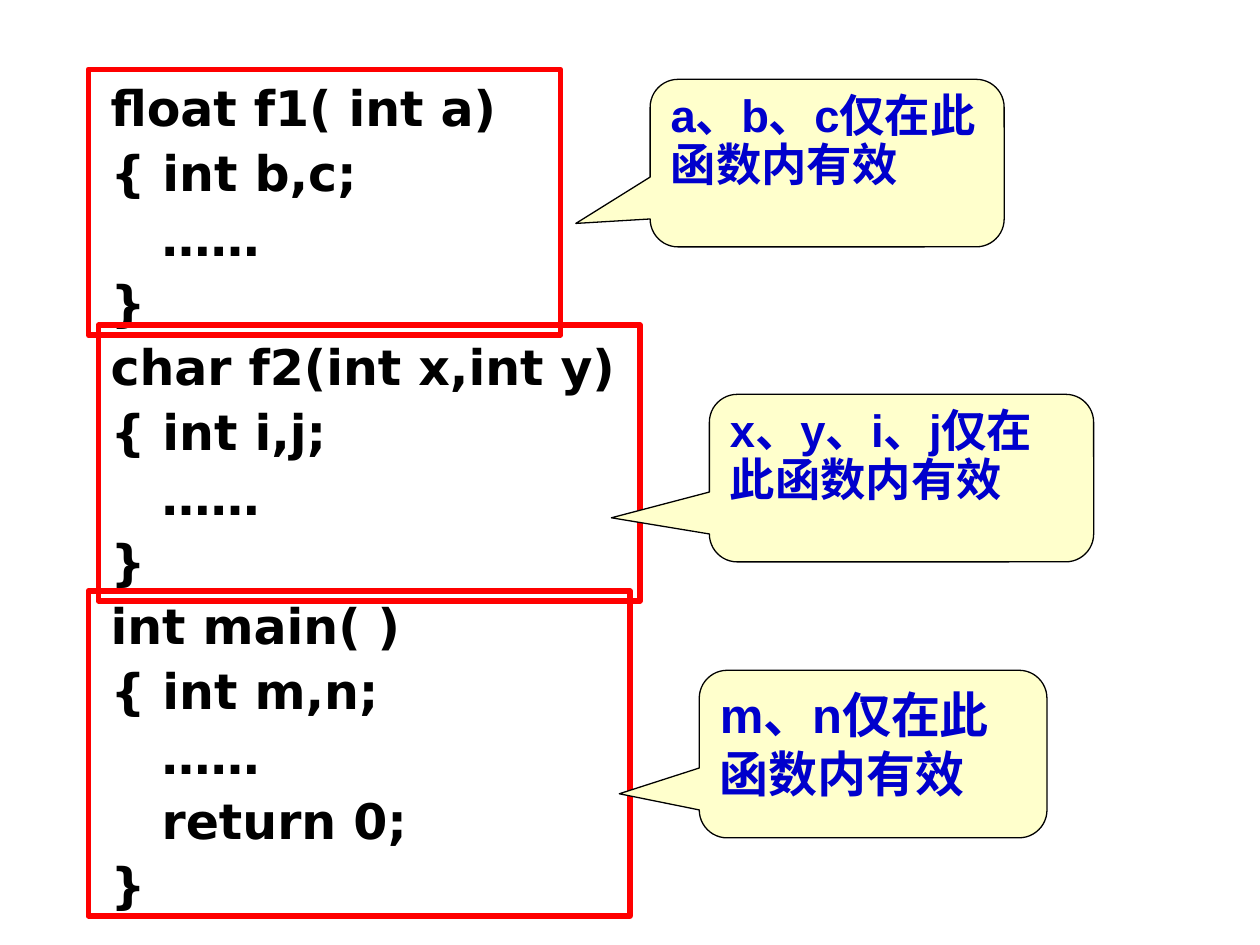
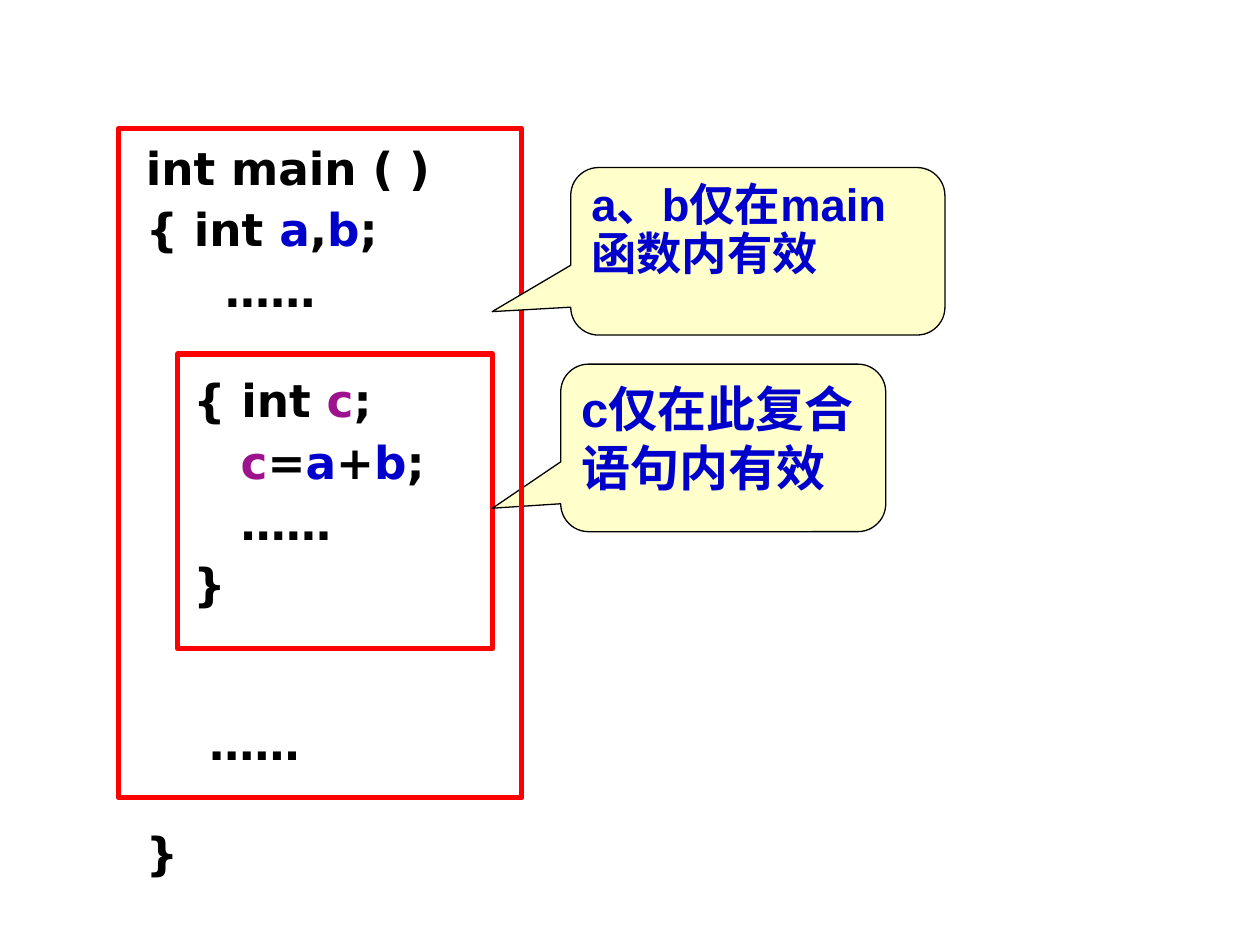
from pptx import Presentation
from pptx.dml.color import RGBColor
from pptx.enum.shapes import MSO_SHAPE
from pptx.enum.text import MSO_ANCHOR, PP_ALIGN
from pptx.util import Inches, Pt

# Shared look
BLACK, RED, BLUE, PLUM, CREAM = "000000", "FF0000", "0000CC", "9D138D", "FFFFCC"
CODE, NOTE = "DejaVu Sans", "Arial"
INKS = {"a": BLUE, "b": BLUE, "c": PLUM}
GAP = 7          # points between code lines
TALL = 13.3      # rows in every callout
BIG, SMALL = 28, 25.9

# Grid of 100 columns by 75 rows
WIDE, HIGH = Inches(10), Inches(7.5)
COL, ROW = WIDE / 100, HIGH / 75


def place(left, top, width, height):
    return int(left * COL), int(top * ROW), int(width * COL), int(height * ROW)


def tint(code):
    return RGBColor.from_string(code)


def style(font, name, size, ink):
    font.name, font.size, font.bold = name, Pt(size), True
    font.color.rgb = tint(ink)


def shape(slide, kind, area, fill, line, width):
    item = slide.shapes.add_shape(kind, *place(*area))
    item.shadow.inherit = False
    if fill:
        item.fill.solid()
        item.fill.fore_color.rgb = tint(fill)
    else:
        item.fill.background()
    item.line.color.rgb = tint(line)
    item.line.width = Pt(width)
    return item


def frame(slide, *area):
    shape(slide, MSO_SHAPE.RECTANGLE, area, None, RED, 3)


def callout(slide, text, left, top, width, tip, size=SMALL):
    item = shape(slide, MSO_SHAPE.ROUNDED_RECTANGULAR_CALLOUT,
                 (left, top, width, TALL), CREAM, BLACK, 0.75)
    for i, value in enumerate(tip):
        item.adjustments[i] = value
    box = item.text_frame
    box.word_wrap = True
    box.vertical_anchor = MSO_ANCHOR.TOP
    box.text = text
    para = box.paragraphs[0]
    para.alignment = PP_ALIGN.LEFT
    para.line_spacing = 0.9 if size == SMALL else 1.0
    style(para.runs[0].font, NOTE, size, BLUE)


def listing(slide, lines, area, size, pitch, extra=None):
    """Code lines; bars split off coloured names, extra widens gaps by line."""
    box = slide.shapes.add_textbox(*place(*area)).text_frame
    box.word_wrap = True
    for i, line in enumerate(lines):
        para = box.add_paragraph() if i else box.paragraphs[0]
        para.line_spacing = pitch
        para.space_before = Pt(GAP + (extra or {}).get(i, 0) if i else 0)
        for part in line.split("|"):
            if part:
                run = para.add_run()
                run.text = part
                style(run.font, CODE, size, INKS.get(part, BLACK))


def scopes(slide):
    # Three functions
    listing(slide, [
        "float f1( int a)", "{ int b,c;", "   ……", "}",
        "char f2(int x,int y)", "{ int i,j;", "   ……", "}",
        "int main( )", "{ int m,n;", "   ……", "   return 0;", "}",
    ], (7.8, 6.2, 73.4, 67.2), BIG, Pt(30))
    # Frame and note for each
    frame(slide, 7, 5.5, 37.5, 21.1)
    callout(slide, "a、b、c仅在此函数内有效", 51.6, 6.3, 28.1, (-0.71, 0.36))
    frame(slide, 7.8, 25.8, 43, 21.9)
    callout(slide, "x、y、i、j仅在此函数内有效", 56.3, 31.3, 30.5, (-0.755, 0.237))
    frame(slide, 7, 46.9, 43, 25.8)
    callout(slide, "m、n仅在此函数内有效", 55.5, 53.2, 27.6, (-0.73, 0.237), BIG)


def nested(slide):
    # Function with an inner block
    listing(slide, [
        "int main ( )", "{ int |a|,|b|;", "     ……",
        "   { int |c|;", "      |c|=|a|+|b|;", "      ……", "   }",
        "    ……", "}",
    ], (10.6, 11.1, 40.2, 57.6), SMALL, 0.9, {3: 28, 7: 56, 8: 28})
    # Inner block, then the whole function
    tip = (-0.71, 0.36)
    frame(slide, 14.1, 28.1, 25, 23.4)
    callout(slide, "c仅在此复合语句内有效", 44.5, 28.9, 25.8, tip, BIG)
    frame(slide, 9.4, 10.2, 32, 53.1)
    callout(slide, "a、b仅在main函数内有效", 45.3, 13.3, 29.7, tip)


def main():
    deck = Presentation()
    deck.slide_width, deck.slide_height = WIDE, HIGH
    for build in (scopes, nested):
        build(deck.slides.add_slide(deck.slide_layouts[6]))
    deck.save("out.pptx")


if __name__ == "__main__":
    main()
